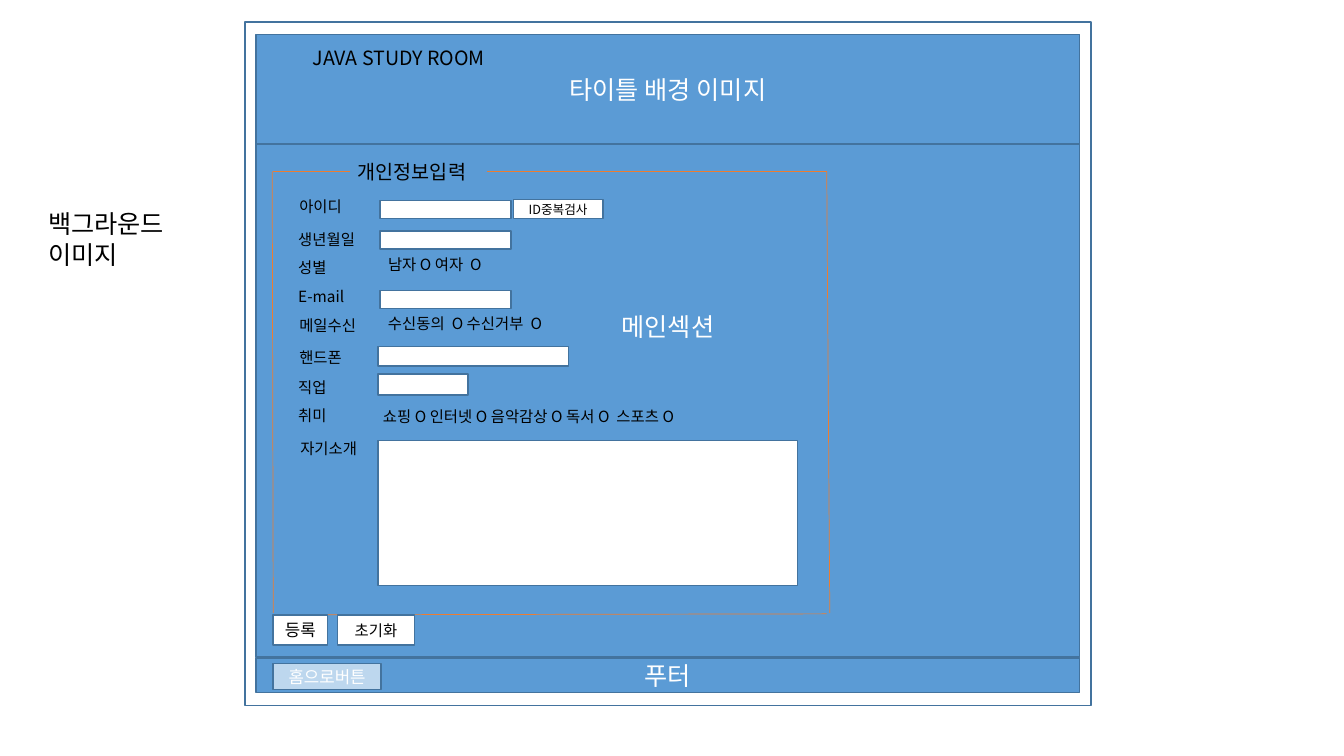
from lxml.etree import SubElement
from pptx import Presentation
from pptx.dml.color import RGBColor
from pptx.enum.shapes import MSO_CONNECTOR, MSO_SHAPE
from pptx.enum.text import MSO_ANCHOR, MSO_AUTO_SIZE, PP_ALIGN
from pptx.oxml.ns import qn
from pptx.util import Inches, Pt

WHITE = RGBColor(0xFF, 0xFF, 0xFF)
BLACK = RGBColor(0x00, 0x00, 0x00)
BLUE = RGBColor(0x5B, 0x9B, 0xD5)
PALE_BLUE = RGBColor(0xBD, 0xD7, 0xEE)
BORDER = RGBColor(0x43, 0x73, 0x9E)
ORANGE = RGBColor(0xED, 0x7D, 0x31)
FONT = "Noto Sans CJK KR"
ROW_HEIGHT = 0.29

# Form labels: text, left, top
LABELS = [
    ("아이디", 2.87, 1.91),
    ("생년월일", 2.86, 2.23),
    ("성별", 2.86, 2.51),
    ("E-mail", 2.86, 2.8),
    ("메일수신", 2.87, 3.09),
    ("핸드폰", 2.87, 3.4),
    ("직업", 2.86, 3.7),
    ("취미", 2.86, 3.98),
    ("자기소개", 2.88, 4.31),
]
# Choice rows: text, left, top, width
CHOICES = [
    ("남자 O 여자  O", 3.75, 2.48, 1.89),
    ("수신동의  O 수신거부  O", 3.75, 3.07, 2.13),
    ("쇼핑 O 인터넷 O 음악감상 O 독서 O  스포츠 O", 3.7, 3.99, 3.6),
]
# Input fields: left, top, width, height
FIELDS = [
    (3.77, 1.99, 1.3, 0.18),
    (3.77, 2.29, 1.3, 0.18),
    (3.77, 2.88, 1.3, 0.18),
    (3.75, 3.44, 1.89, 0.19),
    (3.75, 3.71, 0.89, 0.21),
    (3.75, 4.37, 4.16, 1.44),
]
# Buttons: text, box, size, fill, text colour
BUTTONS = [
    ("등록", (2.71, 6.1, 0.54, 0.3), 12, WHITE, BLACK),
    ("초기화", (3.35, 6.1, 0.76, 0.3), 11, WHITE, BLACK),
    ("ID중복검사", (5.09, 1.98, 0.89, 0.19), 9, WHITE, BLACK),
    ("홈으로버튼", (2.71, 6.58, 1.07, 0.26), 12, PALE_BLUE, WHITE),
]
# Form frame, open at the heading: start and end of each side
FRAME = [
    (3.47, 1.7, 2.71, 1.7),
    (2.7, 1.7, 2.71, 6.08),
    (2.74, 6.1, 8.2, 6.09),
    (8.23, 6.08, 8.2, 1.7),
    (8.2, 1.7, 4.83, 1.7),
]


def write(frame, text, size, color, align):
    frame.text = text
    frame.word_wrap = True
    for paragraph in frame.paragraphs:
        paragraph.alignment = align
        font = paragraph.font
        font.size = Pt(size)
        font.name = FONT
        font.color.rgb = color
        # Hangul takes its typeface from the East Asian font
        SubElement(font._element, qn("a:ea"), typeface=FONT)


def add_box(slide, box, fill, text="", size=18, color=WHITE):
    panel = slide.shapes.add_shape(MSO_SHAPE.RECTANGLE, *map(Inches, box))
    panel.shadow.inherit = False
    panel.fill.solid()
    panel.fill.fore_color.rgb = fill
    panel.line.color.rgb = BORDER
    panel.line.width = Pt(1)
    if text:
        panel.text_frame.vertical_anchor = MSO_ANCHOR.MIDDLE
        write(panel.text_frame, text, size, color, PP_ALIGN.CENTER)
    return panel


def add_label(slide, text, box, size=11):
    label = slide.shapes.add_textbox(*map(Inches, box))
    write(label.text_frame, text, size, BLACK, PP_ALIGN.LEFT)
    label.text_frame.auto_size = MSO_AUTO_SIZE.SHAPE_TO_FIT_TEXT


def add_line(slide, ends):
    side = slide.shapes.add_connector(MSO_CONNECTOR.STRAIGHT, *map(Inches, ends))
    side.line.color.rgb = ORANGE
    side.line.width = Pt(0.5)
    SubElement(side._element.spPr, qn("a:effectLst"))


def place_title(slide, text, box):
    title = slide.shapes.title
    title.left, title.top, title.width, title.height = map(Inches, box)
    write(title.text_frame, text, 14, BLACK, PP_ALIGN.LEFT)
    title.text_frame.vertical_anchor = MSO_ANCHOR.TOP
    title.text_frame.auto_size = MSO_AUTO_SIZE.SHAPE_TO_FIT_TEXT
    # Bring the title in front of the header band
    slide.shapes._spTree.append(title._element)


def main():
    prs = Presentation()
    prs.slide_width, prs.slide_height = Inches(13.33), Inches(7.5)
    slide = prs.slides.add_slide(prs.slide_layouts[5])

    # Page, main section, header and footer
    add_box(slide, (2.43, 0.22, 8.39, 6.78), WHITE)
    main_section = add_box(slide, (2.54, 1.4, 8.17, 5.12), BLUE, "메인섹션")
    main_section.text_frame.margin_bottom = Inches(1.5)
    add_box(slide, (2.54, 0.34, 8.17, 1.09), BLUE, "타이틀 배경 이미지")
    place_title(slide, "JAVA STUDY ROOM", (3, 0.41, 2.67, 0.34))
    add_box(slide, (2.54, 6.53, 8.17, 0.34), BLUE, "푸터")
    add_label(slide, "백그라운드\n이미지", (0.38, 2.02, 1.58, 0.71), 18)

    # Form frame and heading
    for ends in FRAME:
        add_line(slide, ends)
    add_label(slide, "개인정보입력", (3.45, 1.54, 1.4, 0.34), 14)

    # Form rows
    for text, left, top in LABELS:
        add_label(slide, text, (left, top, 1.06, ROW_HEIGHT))
    for field in FIELDS:
        add_box(slide, field, WHITE)
    for text, left, top, width in CHOICES:
        add_label(slide, text, (left, top, width, ROW_HEIGHT))

    # Buttons
    for text, box, size, fill, color in BUTTONS:
        add_box(slide, box, fill, text, size, color)

    prs.save("out.pptx")


if __name__ == "__main__":
    main()
